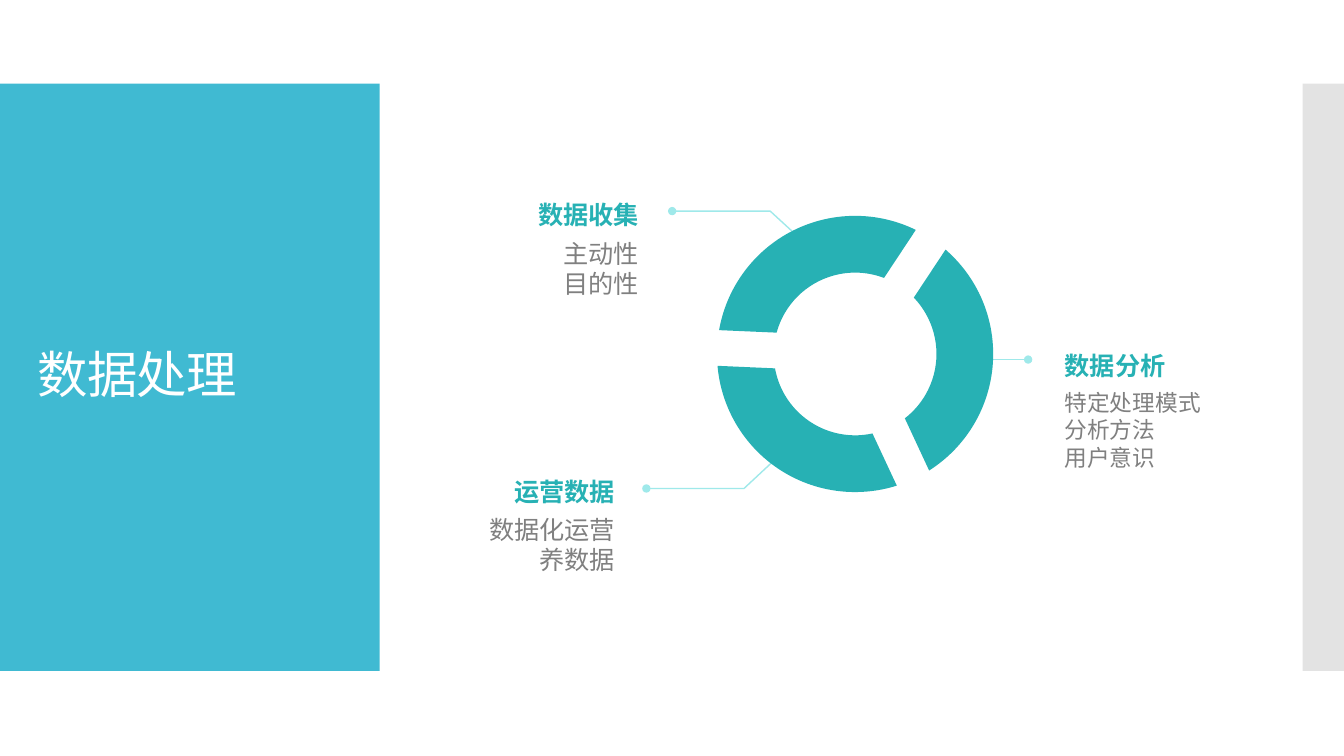
import math

import pptx
import pptx.dml.color
import pptx.enum.shapes
import pptx.enum.text
import pptx.oxml.ns
import pptx.util
from lxml import etree

Cm = pptx.util.Cm
Pt = pptx.util.Pt
qn = pptx.oxml.ns.qn
ALIGN = pptx.enum.text.PP_ALIGN
ANCHOR = pptx.enum.text.MSO_ANCHOR
COLORS = {
    name: pptx.dml.color.RGBColor.from_string(value)
    for name, value in {
        "panel": "40BAD2",
        "edge": "C8C8C8",
        "teal": "27B1B4",
        "leader": "9FE9EA",
        "body": "808080",
        "white": "FFFFFF",
    }.items()
}


def fill_plain(shape, color):
    """Give the shape a solid fill with no outline and no shadow."""
    shape.shadow.inherit = False
    shape.fill.solid()
    shape.fill.fore_color.rgb = COLORS[color]
    shape.line.fill.background()


def add_label_text(box, lines, align, size, font_name, color, bold, spacing, anchor):
    left, top, width, height = box
    frame = slide.shapes.add_textbox(Cm(left), Cm(top), Cm(width), Cm(height)).text_frame
    frame.word_wrap = True
    frame.vertical_anchor = anchor
    frame.text = "\n".join(lines)
    for paragraph in frame.paragraphs:
        paragraph.alignment = align
        paragraph.line_spacing = spacing
        paragraph.font.name = font_name
        paragraph.font.size = Pt(size)
        paragraph.font.bold = bold
        paragraph.font.color.rgb = COLORS[color]


presentation = pptx.Presentation()
presentation.slide_width = Cm(33.87)
presentation.slide_height = Cm(19.05)
slide = presentation.slides.add_slide(presentation.slide_layouts[5])

# Side panels
for left, width, color in ((0, 9.57, "panel"), (32.83, 1.04, "edge")):
    panel = slide.shapes.add_shape(
        pptx.enum.shapes.MSO_SHAPE.RECTANGLE, Cm(left), Cm(2.11), Cm(width), Cm(14.8))
    fill_plain(panel, color)
edge_color = panel.element.spPr.find(".//" + qn("a:srgbClr"))
etree.SubElement(edge_color, qn("a:alpha"), val="50000")

# Title, in front of the left panel
title = slide.shapes.title
slide.shapes.element.append(title.element)
title.left, title.top, title.width, title.height = Cm(0.7), Cm(3.12), Cm(8.18), Cm(12.78)
title.text_frame.text = "数据处理"
title.text_frame.auto_size = pptx.enum.text.MSO_AUTO_SIZE.NONE
title.text_frame.vertical_anchor = ANCHOR.MIDDLE
paragraph = title.text_frame.paragraphs[0]
paragraph.alignment = ALIGN.LEFT
paragraph.line_spacing = 0.9
paragraph.font.name = "Calibri"
paragraph.font.size = Pt(36)
paragraph.font.color.rgb = COLORS["white"]
paragraph.runs[0].font._element.set("spc", "-60")

# Leader lines, each ending in a dot beside its label
leaders = (
    ((24.74, 9.06), (25.91, 9.06)),
    ((20.14, 5.99), (19.41, 5.32), (16.94, 5.32)),
    ((19.48, 11.63), (18.75, 12.31), (16.29, 12.31)),
)
for leader_points in leaders:
    points = [(Cm(x), Cm(y)) for x, y in leader_points]
    if len(points) == 2:
        leader = slide.shapes.add_connector(
            pptx.enum.shapes.MSO_CONNECTOR.STRAIGHT, *points[0], *points[1])
    else:
        builder = slide.shapes.build_freeform(*points[0])
        builder.add_line_segments(points[1:], close=False)
        leader = builder.convert_to_shape()
        leader.fill.background()
    leader.line.color.rgb = COLORS["leader"]
    leader.line.width = Pt(1)
    line_xml = leader.element.spPr.find(qn("a:ln"))
    etree.SubElement(line_xml, qn("a:tailEnd"), type="oval")
    etree.SubElement(leader.element.spPr, qn("a:effectLst"))

# Ring of three segments, separated by gaps of constant width.
# Angles are in degrees, clockwise from the right.
CENTER_X, CENTER_Y = 21.55, 8.92
OUTER_RADIUS, INNER_RADIUS = 3.48, 2.05
HALF_GAP = 0.45
gap_angles = (-56.5, 65, 182.5, 303.5)
outer_inset, inner_inset = (
    math.degrees(math.asin(HALF_GAP / radius)) for radius in (OUTER_RADIUS, INNER_RADIUS))
for gap_start, gap_end in zip(gap_angles, gap_angles[1:]):
    start, end = gap_start + outer_inset, gap_end - outer_inset
    # Stops at the quarter turns make the shape's frame enclose the arc
    quarters = [angle for angle in range(-90, 360, 90) if start < angle < end]
    corners = [(OUTER_RADIUS, angle) for angle in (start, *quarters, end)]
    corners += [(INNER_RADIUS, gap_end - inner_inset), (INNER_RADIUS, gap_start + inner_inset)]
    outline = [(Cm(CENTER_X + radius * math.cos(math.radians(angle))),
                Cm(CENTER_Y + radius * math.sin(math.radians(angle))))
               for radius, angle in corners]
    builder = slide.shapes.build_freeform(*outline[0])
    builder.add_line_segments(outline[1:])
    segment = builder.convert_to_shape()
    fill_plain(segment, "teal")
    # Bend every side that joins two corners of equal radius
    sides = segment.element.spPr.findall(".//" + qn("a:lnTo"))
    for side, (radius, angle), (next_radius, next_angle) in zip(sides, corners, corners[1:]):
        if radius == next_radius:
            arc = etree.Element(
                qn("a:arcTo"), wR=str(Cm(radius)), hR=str(Cm(radius)),
                stAng=str(round(angle % 360 * 60000)),
                swAng=str(round((next_angle - angle) * 60000)))
            side.getparent().replace(side, arc)

# Labels: heading with its points below
labels = (
    (26.58, 8.53, 6.68, ALIGN.LEFT, 16.2, "数据分析", ("特定处理模式", "分析方法", "用户意识")),
    (10.05, 4.72, 6.3, ALIGN.RIGHT, 18, "数据收集", ("主动性", "目的性")),
    (9.45, 11.69, 6.3, ALIGN.RIGHT, 18, "运营数据", ("数据化运营", "养数据")),
)
for left, top, width, align, size, heading, lines in labels:
    add_label_text((left, top, width, 1.22), [heading], align, 18,
                   "Arial", "teal", True, 1.2, ANCHOR.MIDDLE)
    add_label_text((left, top + 1.15, width, 0.8 * len(lines)), lines, align, size,
                   "Calibri", "body", False, 1.0, ANCHOR.TOP)

presentation.save("out.pptx")
